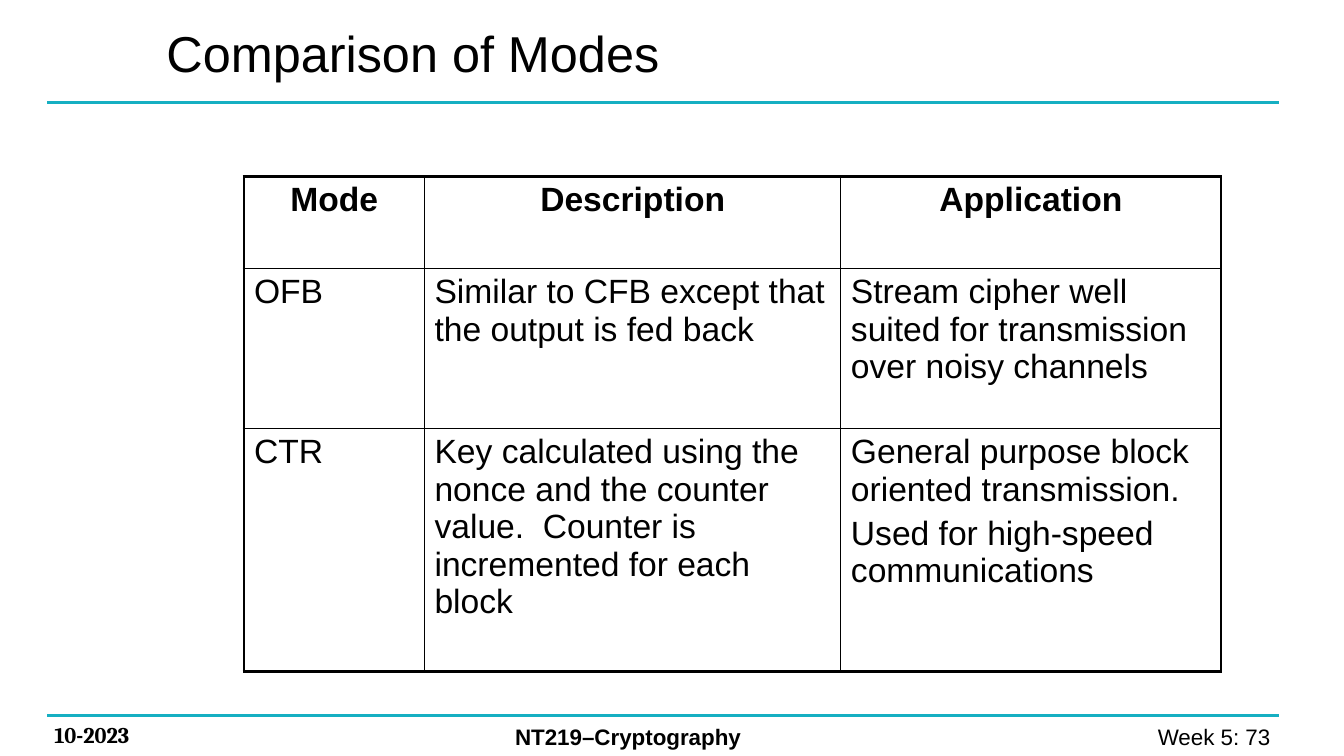
"""Build the slide that compares the OFB and CTR block cipher modes."""
from dataclasses import dataclass

from lxml import etree
from pptx import Presentation
from pptx.dml.color import RGBColor
from pptx.enum.shapes import MSO_CONNECTOR
from pptx.enum.text import MSO_ANCHOR, MSO_AUTO_SIZE, PP_ALIGN
from pptx.oxml.ns import qn
from pptx.slide import Slide
from pptx.table import _Cell
from pptx.text.text import TextFrame
from pptx.util import Emu, Pt

LEFT, CENTER, RIGHT = PP_ALIGN.LEFT, PP_ALIGN.CENTER, PP_ALIGN.RIGHT
MIDDLE = MSO_ANCHOR.MIDDLE
NO_AUTOFIT = MSO_AUTO_SIZE.NONE
STRAIGHT = MSO_CONNECTOR.STRAIGHT
EMU_PER_PX = 9144
TITLE_ONLY = 5


@dataclass(frozen=True)
class Theme:
    ink: str = "000000"
    rule: str = "16AFC2"
    font: str = "Arial"
    date_font: str = "Cambria"
    title_pt: int = 36
    table_pt: int = 24
    footer_pt: int = 16
    rule_pt: float = 2.25
    frame_pt: float = 2.25
    grid_pt: float = 1
    para_gap_pt: float = 4.8


@dataclass(frozen=True)
class Box:
    x: int
    y: int
    w: int
    h: int


@dataclass(frozen=True)
class Footer:
    text: str
    box: Box
    align: PP_ALIGN = LEFT
    font: str = Theme.font
    bold: bool = True


THEME = Theme()
TITLE_BOX = Box(155, 0, 900, 103)
RULE_LEFT, RULE_RIGHT = 47, 1269
RULE_YS = (102, 710)
FOOTERS = (
    Footer("Week 5: 73 ", Box(982, 712, 294, 37), align=RIGHT, bold=False),
    Footer("10-2023", Box(44, 711, 178, 37), font=THEME.date_font),
    Footer("NT219–Cryptography", Box(501, 712, 409, 37)),
)
TABLE_LEFT, TABLE_TOP = 242, 175
COL_WIDTHS = (179, 413, 377)
ROW_HEIGHTS = (91, 159, 241)
MODES = (
    ("Mode", "Description", "Application"),
    ("OFB", "Similar to CFB except that the output is fed back",
     "Stream cipher well suited for transmission over noisy channels"),
    ("CTR", "Key calculated using the nonce and the counter value.  "
     "Counter is incremented for each block",
     "General purpose block oriented transmission.\nUsed for high-speed communications"),
)


def px(n: int) -> Emu:
    return Emu(n * EMU_PER_PX)


def bounds(box: Box) -> tuple[Emu, Emu, Emu, Emu]:
    return px(box.x), px(box.y), px(box.w), px(box.h)


def set_text(tf: TextFrame, text: str, size: int, align: PP_ALIGN = LEFT,
             font: str = THEME.font, bold: bool = False) -> None:
    tf.text = text
    for p in tf.paragraphs:
        p.alignment = align
        for r in p.runs:
            r.font.name = font
            r.font.size = Pt(size)
            r.font.bold = bold
            r.font.color.rgb = RGBColor.from_string(THEME.ink)


def add_title(s: Slide, text: str) -> None:
    sp = s.shapes.title
    sp.left, sp.top, sp.width, sp.height = bounds(TITLE_BOX)
    tf = sp.text_frame
    set_text(tf, text, THEME.title_pt)
    tf.vertical_anchor = MIDDLE
    tf.auto_size = NO_AUTOFIT


def add_rule(s: Slide, y: int) -> None:
    line = s.shapes.add_connector(STRAIGHT, px(RULE_LEFT), px(y), px(RULE_RIGHT), px(y))
    line.line.color.rgb = RGBColor.from_string(THEME.rule)
    line.line.width = Pt(THEME.rule_pt)
    etree.SubElement(line._element.spPr, qn("a:effectLst"))


def add_footer(s: Slide, footer: Footer) -> None:
    tf = s.shapes.add_textbox(*bounds(footer.box)).text_frame
    tf.word_wrap = True
    set_text(tf, footer.text, THEME.footer_pt, footer.align, footer.font, footer.bold)


def set_borders(cell: _Cell, outer: dict[str, bool]) -> None:
    tc_pr = cell._tc.get_or_add_tcPr()
    for side, is_outer in outer.items():
        width = Pt(THEME.frame_pt if is_outer else THEME.grid_pt)
        ln = etree.SubElement(tc_pr, qn(f"a:ln{side}"), w=str(int(width)))
        fill = etree.SubElement(ln, qn("a:solidFill"))
        etree.SubElement(fill, qn("a:srgbClr"), val=THEME.ink)


def add_modes_table(s: Slide) -> None:
    last_row, last_col = len(ROW_HEIGHTS) - 1, len(COL_WIDTHS) - 1
    box = Box(TABLE_LEFT, TABLE_TOP, sum(COL_WIDTHS), sum(ROW_HEIGHTS))
    table = s.shapes.add_table(last_row + 1, last_col + 1, *bounds(box)).table
    table.first_row = table.horz_banding = False
    for col, width in zip(table.columns, COL_WIDTHS):
        col.width = px(width)
    for i, (height, texts) in enumerate(zip(ROW_HEIGHTS, MODES)):
        table.rows[i].height = px(height)
        is_head = i == 0
        for j, text in enumerate(texts):
            cell = table.cell(i, j)
            set_text(cell.text_frame, text, THEME.table_pt,
                     CENTER if is_head else LEFT, bold=is_head)
            for p in cell.text_frame.paragraphs[1:]:
                p.space_before = Pt(THEME.para_gap_pt)
            set_borders(cell, {"L": j == 0, "R": j == last_col,
                               "T": is_head, "B": i == last_row})
            cell.fill.background()


def main() -> None:
    prs = Presentation()
    prs.slide_width, prs.slide_height = px(1333), px(750)
    s = prs.slides.add_slide(prs.slide_layouts[TITLE_ONLY])
    for y in RULE_YS:
        add_rule(s, y)
    for footer in FOOTERS:
        add_footer(s, footer)
    add_title(s, "Comparison of Modes")
    add_modes_table(s)
    prs.save("out.pptx")


if __name__ == "__main__":
    main()
